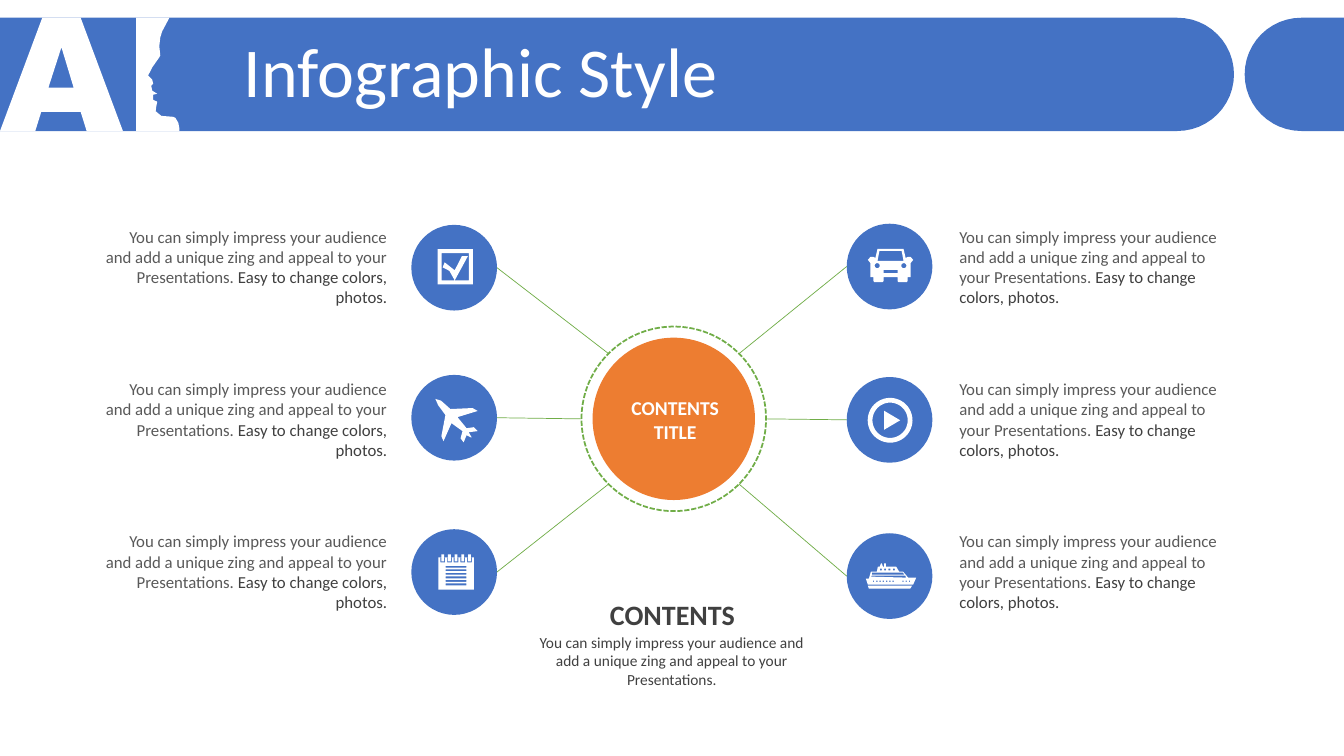
"""Build the "Infographic Style" hub slide with six icon topics."""
from math import cos, pi, sin

from lxml.etree import SubElement
from pptx import Presentation
from pptx.dml.color import RGBColor
from pptx.enum.dml import MSO_LINE_DASH_STYLE as DASH
from pptx.enum.shapes import MSO_CONNECTOR, MSO_SHAPE
from pptx.enum.text import MSO_ANCHOR, PP_ALIGN
from pptx.oxml.ns import qn
from pptx.util import Pt

COLORS = {
    "blue": "4472C4", "orange": "ED7D31", "green": "70AD47",
    "white": "FFFFFF", "gray": "595959", "dark": "404040",
}
RGB = {name: RGBColor.from_string(value) for name, value in COLORS.items()}

presentation = Presentation()
presentation.slide_width, presentation.slide_height = Pt(960), Pt(540)
slide = presentation.slides.add_slide(presentation.slide_layouts[6])
shapes = slide.shapes


def add_outline(left, top, contours, color):
    """Draw closed contours, given in points from (left, top), as one shape."""
    loops = [[(round((left + x) * 100), round((top + y) * 100)) for x, y in contour]
             for contour in contours]
    builder = shapes.build_freeform(*loops[0][0], scale=Pt(1) / 100)
    builder.add_line_segments(loops[0][1:], close=True)
    for loop in loops[1:]:
        builder.move_to(*loop[0])
        builder.add_line_segments(loop[1:], close=True)
    shape = builder.convert_to_shape()
    shape.shadow.inherit = False
    shape.fill.solid()
    shape.fill.fore_color.rgb = RGB[color]
    shape.line.fill.background()


def add_text(box, lines, size, align=PP_ALIGN.LEFT, bold=False, margin=None):
    """Add a text box whose lines are lists of (text, color) runs."""
    text_frame = shapes.add_textbox(*map(Pt, box)).text_frame
    text_frame.word_wrap = True
    if margin is not None:
        text_frame.margin_left = text_frame.margin_right = Pt(margin)
        text_frame.margin_top = text_frame.margin_bottom = Pt(margin)
    for index, line in enumerate(lines):
        paragraph = text_frame.add_paragraph() if index else text_frame.paragraphs[0]
        paragraph.alignment = align
        for text, color in line:
            run = paragraph.add_run()
            run.text = text
            run.font.name, run.font.size, run.font.bold = "Calibri", Pt(size), bold
            run.font.color.rgb = RGB[color]
    return text_frame


half_turn = [(sin(pi * i / 24), -cos(pi * i / 24)) for i in range(25)]
circle = half_turn + [(-x, -y) for x, y in half_turn[1:-1]]

banner_top, banner_bottom, cap = 12.7, 93.6, 40.45
banner_middle = (banner_top + banner_bottom) / 2
banner = [(0, banner_top), *[(841 + cap * x, banner_middle + cap * y) for x, y in half_turn],
          (0, banner_bottom)]
banner_tail = [(960, banner_top),
               *[(929.5 - cap * x, banner_middle + cap * y) for x, y in half_turn],
               (960, banner_bottom)]
letter_a = [(0, 93.6), (30.2, 12.7), (57.6, 12.7), (87.8, 93.6), (61.9, 93.6),
            (57.6, 79.9), (29.5, 79.9), (25.2, 93.6)]
letter_a_hole = [(43.9, 33.8), (34.6, 62.6), (52.6, 62.6)]
face_profile = [
    (97.2, 12.7), (121, 12.7), (115.9, 22.3), (114.5, 26.6), (113.8, 33.1), (114.5, 39.6),
    (113.8, 41), (108.7, 48.2), (105.8, 54), (108.7, 56.9), (109.4, 59.8), (108, 61.2),
    (108.7, 64.8), (112.3, 67), (109.4, 67.7), (109.4, 71.3), (112.3, 72.7), (111.6, 76.3),
    (111.2, 79.5), (115.2, 82.8), (123.8, 83.5), (125.3, 84.2), (127.4, 87.8),
    (128.2, 92.2), (128.2, 93.6), (97.2, 93.6)]
add_outline(0, 0, [banner], "blue")
add_outline(0, 0, [letter_a, letter_a_hole, face_profile], "white")
add_outline(0, 0, [banner_tail], "blue")

title = add_text((167, 26.6, 769.7, 56.9), [[("Infographic Style", "white")]], 50)
title.vertical_anchor = MSO_ANCHOR.MIDDLE
title.paragraphs[0].line_spacing = 0.8

message = "You can simply impress your audience and add a unique zing and appeal to your Presentations."
topic = [[(message + " ", "gray"), ("Easy to change colors, photos.", "dark")]]
for row in range(3):
    top = 158.4 + 108.7 * row
    add_text((678.2, top, 213.8, 65.5), topic, 12)
    add_text((68.4, top, 215.3, 65.5), topic, 12, PP_ALIGN.RIGHT)

hub_x, hub_y, hub_radius, ring_radius, disc = 481.3, 299.2, 58, 65.9, 61.2
left_disc, right_disc = 293.8, 604.8
left_tops, right_tops = (160.6, 267.8, 378), (159.8, 269.3, 380.9)
discs = [(x, top, disc, "blue") for x, tops in ((right_disc, right_tops), (left_disc, left_tops))
         for top in tops]
hub = (hub_x - hub_radius, hub_y - hub_radius, 2 * hub_radius, "orange")
ring = (hub_x - ring_radius, hub_y - ring_radius, 2 * ring_radius, None)
for left, top, size, color in [*discs, hub, ring]:
    shape = shapes.add_shape(MSO_SHAPE.OVAL, Pt(left), Pt(top), Pt(size), Pt(size))
    shape.shadow.inherit = False
    if color:
        shape.fill.solid()
        shape.fill.fore_color.rgb = RGB[color]
        shape.line.fill.background()
    else:
        shape.fill.background()
        shape.line.color.rgb = RGB["green"]
        shape.line.width = Pt(1.25)
        shape.line.dash_style = DASH.SQUARE_DOT

for side, edge, tops in ((-1, left_disc + disc, left_tops), (1, right_disc, right_tops)):
    for angle, top in zip((-pi / 4, 0, pi / 4), tops):
        spoke = shapes.add_connector(
            MSO_CONNECTOR.STRAIGHT, Pt(edge), Pt(top + disc / 2),
            Pt(hub_x + side * ring_radius * cos(angle)), Pt(hub_y + ring_radius * sin(angle)))
        spoke.line.color.rgb = RGB["green"]
        spoke.line.width = Pt(0.5)
        SubElement(spoke._element.spPr, qn("a:effectLst"))

add_text((426.2, 279.4, 112.3, 41), [[("CONTENTS", "white")], [("TITLE", "white")]], 14,
         PP_ALIGN.CENTER, bold=True)
add_text((380.2, 427, 200.2, 24.5), [[("CONTENTS", "dark")]], 20, PP_ALIGN.CENTER, True, 0)
add_text((380.9, 452.2, 198, 40.3), [[(message, "dark")]], 11, PP_ALIGN.CENTER, False, 0)

rectangles = {
    "page": [(-12.6, 2.2, 12.6, 25.2)],
    "notches": [(x - 1.7, 2.2, x + 1.7, 5.8) for x in (-9.6, -4.8, 0, 4.8, 9.6)],
    "pins": [(x - 1, 0, x + 1, 5) for x in (-9.6, -4.8, 0, 4.8, 9.6)],
    "rules": [(-7.4, 8.2 + 2.52 * i, 7.4, 9.5 + 2.52 * i) for i in range(6)],
    "frame": [(0, 0, 25.2, 25.2), (2.9, 2.9, 22.3, 22.3)],
    "grille": [(-5, 15.1, 5, 17.3)],
    "portholes": [(5 + 2.34 * i, 12.2, 6 + 2.34 * i, 13.1) for i in range(12) if i not in (7, 8)],
    "windows": [(10 + 3.1 * i, 3.6, 11.4 + 3.1 * i, 5) for i in range(4)],
}
parts = {name: [[(x1, y1), (x2, y1), (x2, y2), (x1, y2)] for x1, y1, x2, y2 in boxes]
         for name, boxes in rectangles.items()}

check = [(3.6, 13), (5, 9.4), (12.2, 15.1), (17.3, 5), (21.6, 5), (12.2, 22.3), (8.4, 15.5)]
car_half = [(9.3, 0), (10.8, 6.5), (12.2, 5.8), (14.4, 5.8), (16.2, 7.9), (14.4, 10.1),
            (14.4, 20.2), (12.2, 20.2), (12.2, 23), (11.5, 23.8), (5.8, 23.8), (5, 23), (5, 20.2)]
car_body = car_half + [(-x, y) for x, y in reversed(car_half)]
windshield = [(-7.9, 1.4), (7.9, 1.4), (9.3, 8.6), (-9.3, 8.6)]
headlights = [[(center + 1.8 * x, 12 + 1.8 * y) for x, y in circle] for center in (-9.5, 9.5)]
play_rings = [[(radius * x, radius * y) for x, y in circle] for radius in (16, 12.6)]
play_arrow = [(-4.3, -6.8), (7.2, 0), (-4.3, 6.8)]
ship_body = [
    (13, 0), (14.4, 0), (14.4, 2.2), (21.6, 2.2), (23.8, 5.8), (26.6, 5.8), (30.2, 10.1),
    (36, 10.1), (33.8, 15.1), (1.4, 15.1), (0, 10.8), (2.2, 10.8), (3.6, 5.8), (7.9, 5.8),
    (8.6, 2.2), (10, 2.2), (10.8, 0), (11.5, 0), (12.2, 2.2), (13, 2.2)]
ship_keel = [(1.4, 15.8), (33.1, 15.8), (31.7, 18), (2.2, 18)]
ship_decks = [[(4.3, 6.5), (26.6, 6.5), (27.4, 7.9), (4.3, 7.9)],
              [(4.3, 8.6), (28.1, 8.6), (28.8, 10.1), (3.6, 9.4)]]
plane = [
    (30.2, 23), (23.8, 23.8), (25.9, 27.4), (25.2, 27.4), (22.3, 25.9), (20.2, 31),
    (18, 28.1), (19.4, 23), (11.5, 17.3), (5.8, 30.2), (4.3, 26.6), (7.2, 11.5), (2, 4.5),
    (0, 0), (4, 1.2), (10.8, 7.2), (26.6, 6.5), (30.2, 8.6), (15.8, 13), (22.3, 20.9),
    (27.4, 20.2)]

icons = [
    (325.8, 396, parts["page"] + parts["notches"] + parts["pins"] + parts["rules"]),
    (312.6, 178, [*parts["frame"], check]),
    (636.1, 177.8, [car_body, windshield, *headlights, *parts["grille"]]),
    (635.8, 300.2, [*play_rings, play_arrow]),
    (618.5, 402.5, [ship_body, ship_keel, *ship_decks, *parts["portholes"], *parts["windows"]]),
    (311, 285, [plane]),
]
for left, top, contours in icons:
    add_outline(left, top, contours, "white")

presentation.save("out.pptx")
